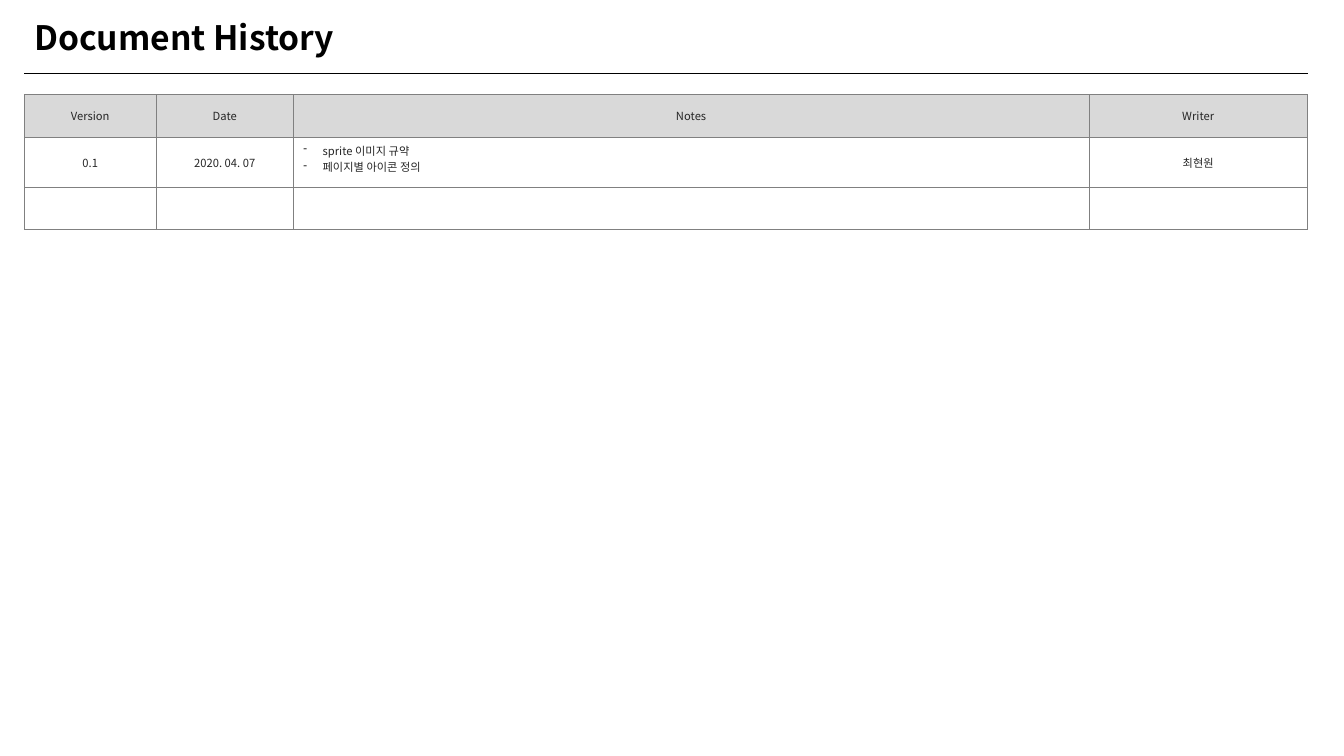
"""Build the document history slide."""
from lxml import etree
from pptx import Presentation
from pptx.dml.color import RGBColor
from pptx.enum import shapes, text
from pptx.oxml import ns
from pptx.util import Inches, Pt

FONT = "Noto Sans CJK KR"
BLACK = RGBColor(0x00, 0x00, 0x00)
INK = RGBColor(0x26, 0x26, 0x26)
HEADER_FILL = RGBColor(0xD9, 0xD9, 0xD9)
BORDER = RGBColor(0x80, 0x80, 0x80)

MARGIN = 0.24
COLUMN_WIDTHS = [1.31, 1.36, 7.89, 2.17]
ROW_HEIGHTS = [0.42, 0.5, 0.42]
CONTENT_WIDTH = sum(COLUMN_WIDTHS)
NOTES_COLUMN = 2
HISTORY = [
    ["Version", "Date", "Notes", "Writer"],
    ["0.1", "2020. 04. 07", "sprite 이미지 규약\n페이지별 아이콘 정의", "최현원"],
    ["", "", "", ""],
]


def add_element(parent, tag, **attributes):
    """Append a DrawingML element to its parent."""
    return etree.SubElement(parent, ns.qn(tag), attributes)


def write_text(frame, content, size=8, color=INK, bold=False, align=None, bullet=None):
    """Fill a text frame, one paragraph for each line of content."""
    for index, line in enumerate(content.split("\n")):
        paragraph = frame.paragraphs[0] if index == 0 else frame.add_paragraph()
        if align is not None:
            paragraph.alignment = align
        if bullet:
            properties = paragraph._p.get_or_add_pPr()
            indent = Inches(0.19)
            properties.set("marL", str(indent))
            properties.set("indent", str(-indent))
            add_element(properties, "a:buFontTx")
            add_element(properties, "a:buChar", char=bullet)
        if line:
            run = paragraph.add_run()
            run.text = line
            run.font.size = Pt(size)
            run.font.bold = bold
            run.font.name = FONT
            run.font.color.rgb = color
            add_element(run.font._element, "a:ea", typeface=FONT)
        else:
            add_element(paragraph._p, "a:endParaRPr", sz=str(size * 100))


def add_title(slide, content):
    """Add the slide title."""
    box = slide.shapes.add_textbox(Inches(MARGIN), Inches(0.12), Inches(9.83), Inches(0.5))
    box.text_frame.word_wrap = True
    box.text_frame.auto_size = text.MSO_AUTO_SIZE.SHAPE_TO_FIT_TEXT
    write_text(box.text_frame, content, size=24, color=BLACK, bold=True)


def add_rule(slide, top):
    """Add a thin horizontal line across the content width."""
    rule = slide.shapes.add_connector(
        shapes.MSO_CONNECTOR.STRAIGHT,
        Inches(MARGIN), Inches(top), Inches(MARGIN + CONTENT_WIDTH), Inches(top))
    rule.line.color.rgb = BLACK
    rule.line.width = Pt(0.5)
    add_element(rule._element.spPr, "a:effectLst")


def set_borders(cell):
    """Draw all four borders of a cell."""
    properties = cell._tc.get_or_add_tcPr()
    for index, side in enumerate(("a:lnL", "a:lnR", "a:lnT", "a:lnB")):
        line = etree.Element(ns.qn(side), w=str(Pt(0.5)))
        add_element(add_element(line, "a:solidFill"), "a:srgbClr", val=str(BORDER))
        properties.insert(index, line)


def add_history_table(slide, top):
    """Add the table of document versions."""
    frame = slide.shapes.add_table(
        len(ROW_HEIGHTS), len(COLUMN_WIDTHS), Inches(MARGIN), Inches(top),
        Inches(CONTENT_WIDTH), Inches(sum(ROW_HEIGHTS)))
    table = frame.table
    table.horz_banding = False
    for column, width in zip(table.columns, COLUMN_WIDTHS):
        column.width = Inches(width)
    for row_index, (row, height) in enumerate(zip(table.rows, ROW_HEIGHTS)):
        row.height = Inches(height)
        for column_index, cell in enumerate(row.cells):
            is_header = row_index == 0
            is_note = column_index == NOTES_COLUMN and not is_header
            content = HISTORY[row_index][column_index]
            cell.vertical_anchor = text.MSO_ANCHOR.TOP if is_note else text.MSO_ANCHOR.MIDDLE
            if is_header:
                cell.fill.solid()
                cell.fill.fore_color.rgb = HEADER_FILL
            else:
                cell.fill.background()
            set_borders(cell)
            write_text(cell.text_frame, content,
                       align=None if is_note else text.PP_ALIGN.CENTER,
                       bullet="-" if is_note and content else None)


def main():
    """Create and save the presentation."""
    presentation = Presentation()
    presentation.slide_width = Inches(13.33)
    presentation.slide_height = Inches(7.5)
    slide = presentation.slides.add_slide(presentation.slide_layouts[6])
    add_title(slide, "Document History")
    add_rule(slide, top=0.73)
    add_history_table(slide, top=0.94)
    presentation.save("out.pptx")


if __name__ == "__main__":
    main()
